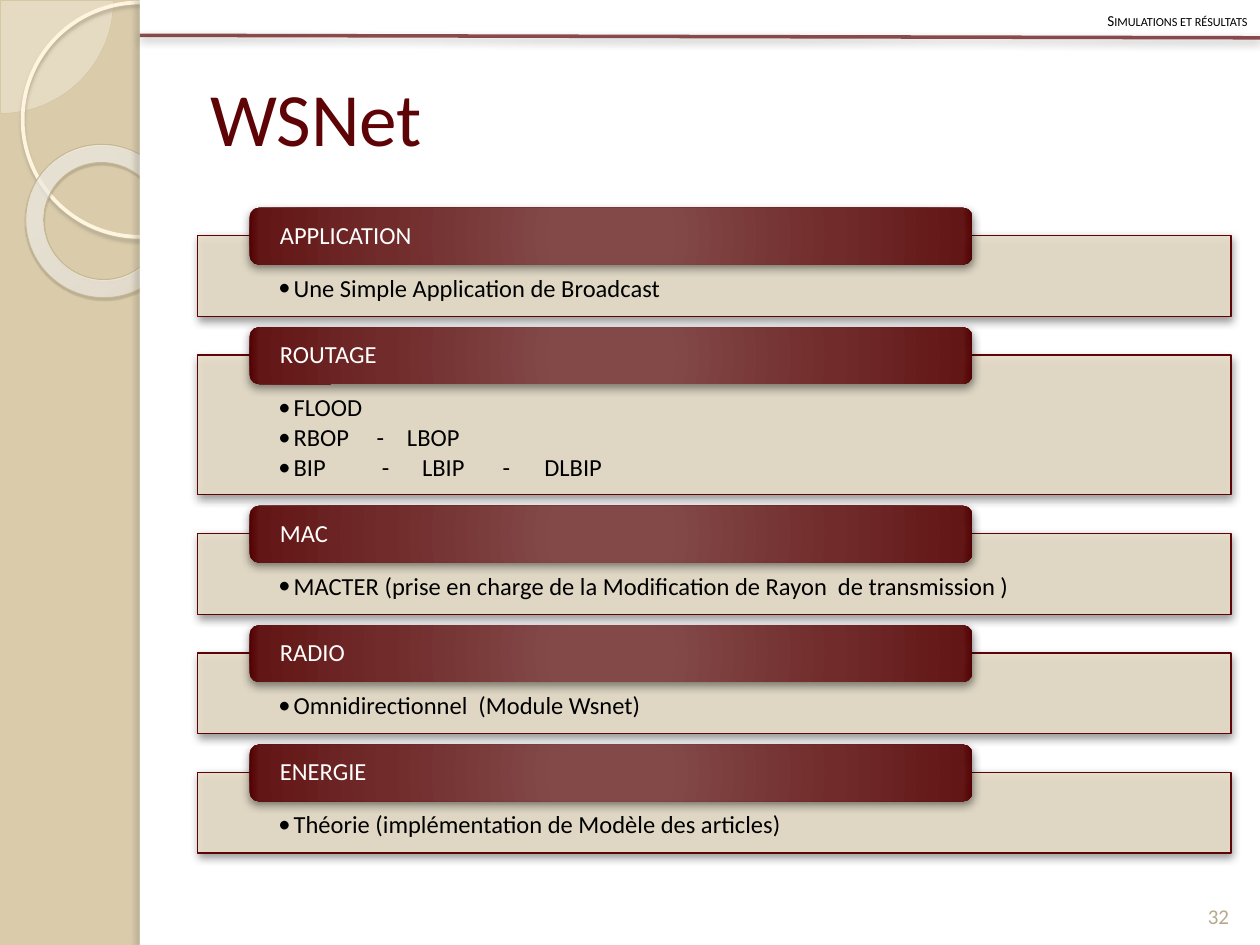
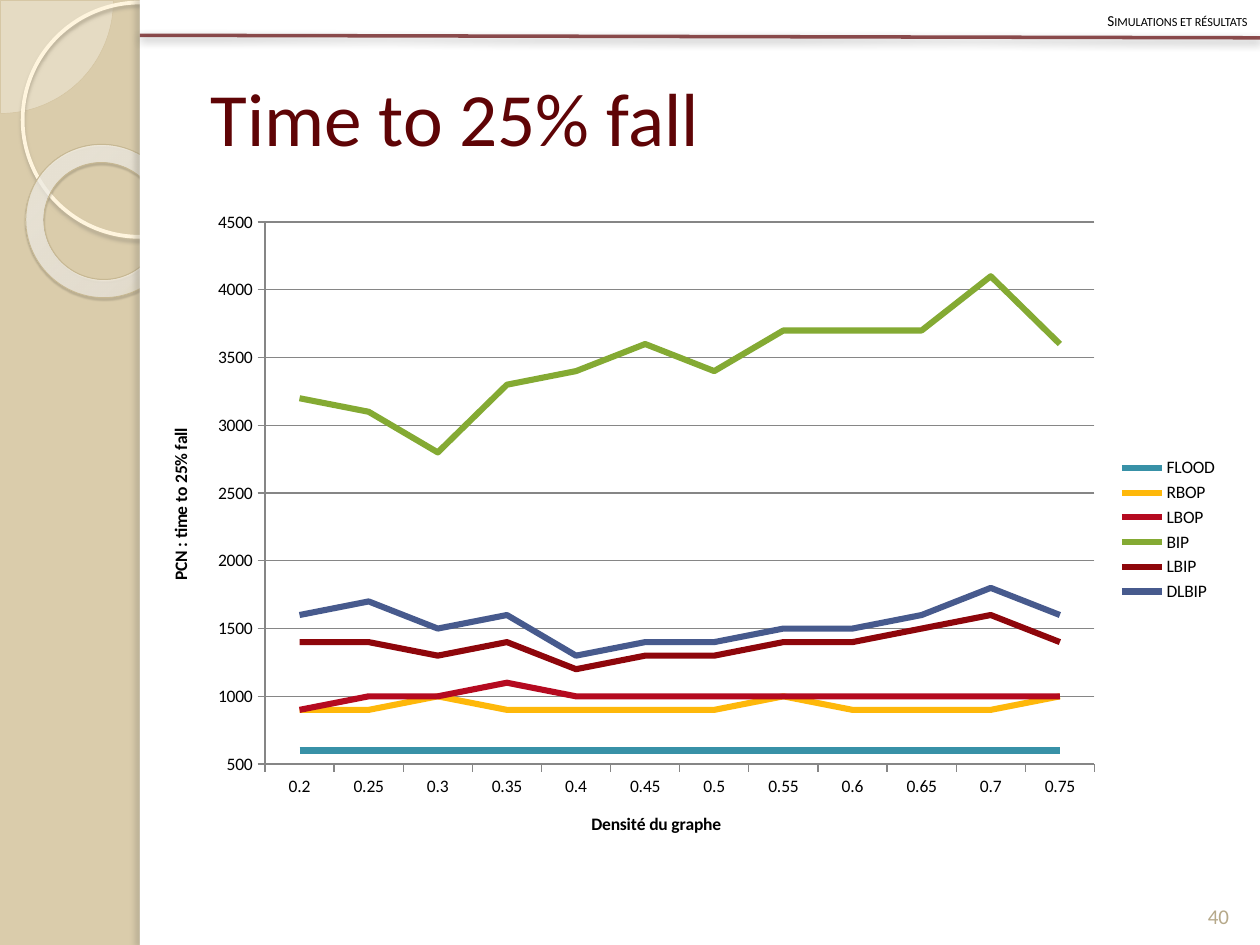
from lxml import etree
from pptx import Presentation
from pptx.chart.data import CategoryChartData
from pptx.dml.color import RGBColor
from pptx.enum.chart import XL_CHART_TYPE, XL_LEGEND_POSITION, XL_TICK_MARK
from pptx.enum.shapes import MSO_CONNECTOR, MSO_SHAPE
from pptx.enum.text import MSO_ANCHOR, PP_ALIGN
from pptx.oxml.ns import qn
from pptx.util import Inches, Pt

FONT = "Calibri"
SECTION = "Simulations et résultats"
COLORS = {
    "sand": "DACCAB", "cream": "FEFAF4", "pie edge": "D3C39F", "ring": "FFF5DE",
    "donut edge": "C7B893", "white": "FFFFFF", "black": "000000", "wine": "5F0406",
    "panel": "E7DEC9", "number": "B6A98A", "grid": "868686",
}
# Shadows: colour, opacity %, blur pt, distance pt, direction in degrees
SOFT = ("000000", 43, 5, 2, 90)
RING_SHADOW = ("B0A68F", 85, 2, 2, 90)
DONUT_SHADOW = ("5A5444", 35, 1, 1.2, 75)
EDGE_SHADOW = ("736F63", 25, 3, 3, 180)
# Gradients: stops (position %, colour, opacity %) and the fill-to rectangle
DONUT_GRADIENT = ([(0, "FFFCF6", 70), (70, "FFFEFB", 55), (100, "F0D28E", 60)],
                  (-408, -50, 508, 150))
TAB_GRADIENT = ([(0, "844949", 100), (15, "834949", 100), (62, "712B2B", 100),
                 (97, "631616", 100), (100, "500002", 100)], (50, 50, 50, 50))

# Layer name, then lines with the tab stops they need
LAYERS = [
    ("APPLICATION", [("Une Simple Application de Broadcast", [])]),
    ("ROUTAGE", [
        ("FLOOD", []),
        ("RBOP\t-\tLBOP", [0.78, 1.02]),
        ("BIP\t-\tLBIP\t-\tDLBIP", [0.82, 1.14, 1.78, 2.11]),
    ]),
    ("MAC", [("MACTER (prise en charge de la Modification de Rayon  de transmission )", [])]),
    ("RADIO", [("Omnidirectionnel  (Module Wsnet)", [])]),
    ("ENERGIE", [("Théorie (implémentation de Modèle des articles)", [])]),
]

DENSITIES = ["0.2", "0.25", "0.3", "0.35", "0.4", "0.45",
             "0.5", "0.55", "0.6", "0.65", "0.7", "0.75"]
FALL_TIMES = [
    ("FLOOD", "3891A7", [600] * 12),
    ("RBOP", "FEB80A", [900, 900, 1000, 900, 900, 900, 900, 1000, 900, 900, 900, 1000]),
    ("LBOP", "B50A20", [900, 1000, 1000, 1100, 1000, 1000, 1000, 1000, 1000, 1000, 1000, 1000]),
    ("BIP", "84AA33", [3200, 3100, 2800, 3300, 3400, 3600, 3400, 3700, 3700, 3700, 4100, 3600]),
    ("LBIP", "8E060B", [1400, 1400, 1300, 1400, 1200, 1300, 1300, 1400, 1400, 1500, 1600, 1400]),
    ("DLBIP", "475A8D", [1600, 1700, 1500, 1600, 1300, 1400, 1400, 1500, 1500, 1600, 1800, 1600]),
]


def rgb(name):
    return RGBColor.from_string(COLORS.get(name, name))


def child(parent, tag, **attributes):
    return etree.SubElement(parent, qn(tag), {k: str(v) for k, v in attributes.items()})


def add_shadow(shape, shadow):
    color, opacity, blur, distance, direction = shadow
    properties = shape.element.spPr
    effects = properties.find(qn("a:effectLst"))
    if effects is None:
        effects = child(properties, "a:effectLst")
    outer = child(effects, "a:outerShdw", blurRad=Pt(blur), dist=Pt(distance),
                  dir=direction * 60000, algn="ctr", rotWithShape=0)
    child(child(outer, "a:srgbClr", val=color), "a:alpha", val=opacity * 1000)


def set_opacity(shape, fill_path, percent):
    solid = shape.element.spPr.find("/".join(qn(tag) for tag in fill_path))
    child(solid[0], "a:alpha", val=percent * 1000)


def set_radial_gradient(shape, gradient):
    stops, (left, top, right, bottom) = gradient
    shape.fill.solid()
    properties = shape.element.spPr
    radial = etree.Element(qn("a:gradFill"), {"rotWithShape": "1"})
    stop_list = child(radial, "a:gsLst")
    for position, color, opacity in stops:
        stop = child(stop_list, "a:gs", pos=position * 1000)
        child(child(stop, "a:srgbClr", val=color), "a:alpha", val=opacity * 1000)
    circle = child(radial, "a:path", path="circle")
    child(circle, "a:fillToRect", l=left * 1000, t=top * 1000,
          r=right * 1000, b=bottom * 1000)
    properties.replace(properties.find(qn("a:solidFill")), radial)


def add_block(slide, preset, box, fill=None, edge=None, shadow=None):
    """Add a shape; edge is (colour, width) and fill may be a gradient tuple."""
    shape = slide.shapes.add_shape(preset, *map(Inches, box))
    shape.shadow.inherit = False
    if fill is None:
        shape.fill.background()
    elif isinstance(fill, tuple):
        set_radial_gradient(shape, fill)
    else:
        shape.fill.solid()
        shape.fill.fore_color.rgb = rgb(fill)
    if edge:
        shape.line.color.rgb = rgb(edge[0])
        shape.line.width = Pt(edge[1])
    else:
        shape.line.fill.background()
    if shadow:
        add_shadow(shape, shadow)
    return shape


def add_run(paragraph, text, size, color):
    run = paragraph.add_run()
    run.text = text
    run.font.name = FONT
    run.font.size = Pt(size)
    run.font.color.rgb = rgb(color)
    return run


def set_frame(frame, anchor, insets=(0.1, 0.05, 0.1, 0.05)):
    frame.word_wrap = True
    frame.vertical_anchor = anchor
    (frame.margin_left, frame.margin_top,
     frame.margin_right, frame.margin_bottom) = map(Inches, insets)


def add_label(slide, box, text, size, color, align, anchor, spacing=1.0):
    frame = slide.shapes.add_textbox(*map(Inches, box)).text_frame
    set_frame(frame, anchor)
    frame.paragraphs[0].alignment = align
    frame.paragraphs[0].line_spacing = spacing
    return add_run(frame.paragraphs[0], text, size, color)


def decorate_layout(layout, slide):
    """Draw the shared side band and rule, then move them to the layout."""
    layout.background.fill.solid()
    layout.background.fill.fore_color.rgb = rgb("sand")
    pie = add_block(slide, MSO_SHAPE.PIE, (-0.89, -0.89, 1.79, 1.79),
                    "cream", ("pie edge", 0.25))
    pie.adjustments[0], pie.adjustments[1] = 0, 54
    set_opacity(pie, ["a:solidFill"], 33)
    ring = add_block(slide, MSO_SHAPE.OVAL, (0.18, 0.02, 1.86, 1.86),
                     None, ("ring", 2.15), RING_SHADOW)
    donut = add_block(slide, MSO_SHAPE.DONUT, (0.2, 1.15, 1.23, 1.21),
                      DONUT_GRADIENT, ("donut edge", 0.58), DONUT_SHADOW)
    donut.adjustments[0] = 0.12
    donut.rotation = 38.6
    page = add_block(slide, MSO_SHAPE.RECTANGLE, (1.11, 0, 8.89, 7.5), "white")
    page_edge = add_block(slide, MSO_SHAPE.RECTANGLE, (1.11, 0, 0.08, 7.5),
                          "white", None, EDGE_SHADOW)
    rule = slide.shapes.add_connector(MSO_CONNECTOR.STRAIGHT, *map(Inches, (1.11, 0.28, 10, 0.3)))
    rule.line.color.rgb = rgb("wine")
    rule.line.width = Pt(2)
    set_opacity(rule, ["a:ln", "a:solidFill"], 70)
    add_shadow(rule, SOFT)
    for part in (pie, ring, donut, page, page_edge, rule):
        layout.shapes.element.append(part.element)


def fill_frame(slide, title, number):
    """Set the title, section header and slide number."""
    heading = slide.shapes.title
    heading.left, heading.top, heading.width, heading.height = map(Inches, (1.57, 0.3, 8.2, 1.25))
    set_frame(heading.text_frame, MSO_ANCHOR.MIDDLE)
    paragraph = heading.text_frame.paragraphs[0]
    paragraph.alignment = PP_ALIGN.LEFT
    add_run(paragraph, title, 43, "wine")
    section = add_label(slide, (0, 0, 10, 0.29), SECTION, 8.7, "black",
                        PP_ALIGN.RIGHT, MSO_ANCHOR.MIDDLE, 1.2)
    section.font._element.set("cap", "small")
    add_label(slide, (9.42, 6.9, 0.5, 0.52), number, 12, "number",
              PP_ALIGN.CENTER, MSO_ANCHOR.BOTTOM)


def add_bullet(paragraph, tab_stops):
    properties = paragraph._p.get_or_add_pPr()
    properties.set("marL", str(Inches(0.12)))
    properties.set("indent", str(Inches(-0.12)))
    child(properties, "a:buFont", typeface=FONT)
    child(properties, "a:buChar", char="•")
    if tab_stops:
        tabs = child(properties, "a:tabLst")
        for stop in tab_stops:
            child(tabs, "a:tab", pos=Inches(stop), algn="l")


def add_layers(slide):
    top, bottom = 1.87, 6.77
    heights = [0.64 + 0.47 * (len(lines) - 1) / 2 for _, lines in LAYERS]
    gap = (bottom - top - sum(heights)) / (len(LAYERS) - 1)
    for (name, lines), height in zip(LAYERS, heights):
        panel = add_block(slide, MSO_SHAPE.RECTANGLE, (1.57, top, 8.2, height),
                          "panel", ("wine", 0.75), SOFT)
        set_opacity(panel, ["a:solidFill"], 90)
        frame = panel.text_frame
        set_frame(frame, MSO_ANCHOR.TOP, (0.64, 0.32, 0.64, 0.11))
        for index, (text, tab_stops) in enumerate(lines):
            paragraph = frame.add_paragraph() if index else frame.paragraphs[0]
            add_bullet(paragraph, tab_stops)
            paragraph.alignment = PP_ALIGN.LEFT
            paragraph.line_spacing = 0.9
            paragraph.space_after = Pt(2.1)
            add_run(paragraph, text, 14, "black")

        tab = add_block(slide, MSO_SHAPE.ROUNDED_RECTANGLE, (1.98, top - 0.22, 5.74, 0.45),
                        TAB_GRADIENT, None, SOFT)
        set_frame(tab.text_frame, MSO_ANCHOR.MIDDLE, (0.22, 0, 0.22, 0))
        paragraph = tab.text_frame.paragraphs[0]
        paragraph.alignment = PP_ALIGN.LEFT
        paragraph.line_spacing = 0.9
        add_run(paragraph, name, 14, "white")
        top += height + gap


def add_fall_chart(slide):
    data = CategoryChartData()
    data.categories = DENSITIES
    for name, _, times in FALL_TIMES:
        data.add_series(name, times)
    chart = slide.shapes.add_chart(XL_CHART_TYPE.LINE, *map(Inches, (1.14, 1.58, 8.63, 5.25)),
                                   data).chart
    chart.font.name = FONT
    chart.font.size = Pt(10)
    chart.font.color.rgb = rgb("black")
    chart.has_title = False
    chart.has_legend = True
    chart.legend.position = XL_LEGEND_POSITION.RIGHT
    chart.legend.include_in_layout = False
    chart.plots[0].vary_by_categories = False
    for series, (_, color, _) in zip(chart.plots[0].series, FALL_TIMES):
        series.smooth = False
        series.format.line.color.rgb = rgb(color)
        series.format.line.width = Pt(3.5)

    density, fall = chart.category_axis, chart.value_axis
    for axis, title in ((density, "Densité du graphe"), (fall, "PCN : time to 25% fall")):
        axis.major_tick_mark = XL_TICK_MARK.OUTSIDE
        axis.format.line.color.rgb = rgb("grid")
        run = add_run(axis.axis_title.text_frame.paragraphs[0], title, 10, "black")
        run.font.bold = True
    fall.minimum_scale = 500
    fall.has_major_gridlines = True
    fall.major_gridlines.format.line.color.rgb = rgb("grid")


def main():
    deck = Presentation()
    deck.slide_width, deck.slide_height = Inches(10), Inches(7.5)
    layout = deck.slide_layouts[5]
    simulator = deck.slides.add_slide(layout)
    decorate_layout(layout, simulator)
    fill_frame(simulator, "WSNet", "32")
    add_layers(simulator)
    results = deck.slides.add_slide(layout)
    fill_frame(results, "Time to 25% fall", "40")
    add_fall_chart(results)
    deck.save("out.pptx")


if __name__ == "__main__":
    main()
